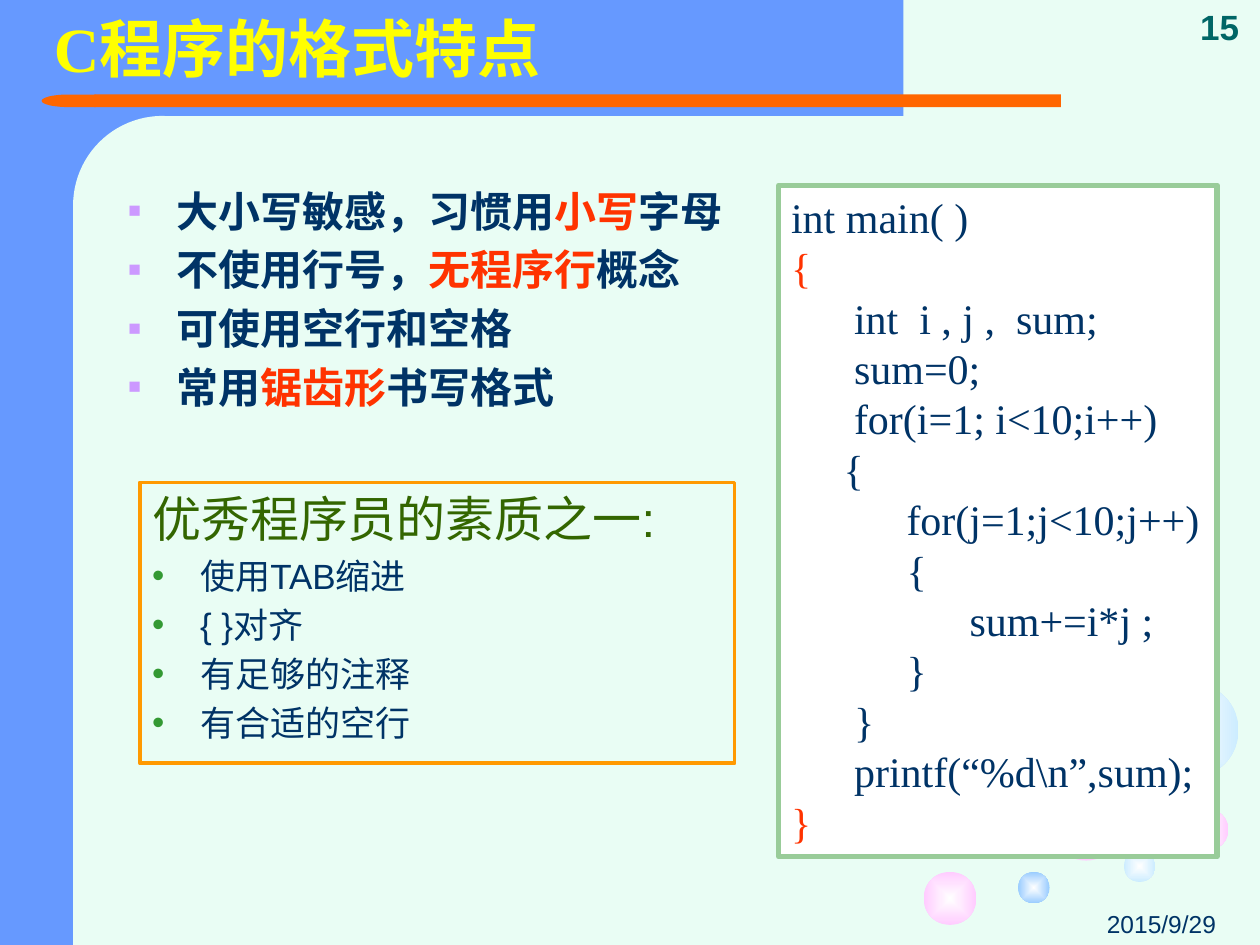
from lxml import etree
from pptx import Presentation
from pptx import util as u
from pptx.dml import color as dml
from pptx.enum import shapes, text
from pptx.oxml import ns

HUES = {
    "mint": "E9FDF4", "blue": "6699FF", "orange": "FF6600", "white": "FFFFFF",
    "pink": "FFCCFF", "pale": "CCECFF", "sky": "99CCFF", "navy": "003366",
    "teal": "006666", "yellow": "FFFF00", "red": "FF3300", "lilac": "CC99FF",
    "sage": "99CC99", "amber": "FF9900", "olive": "336600", "green": "339933",
}
KIND = shapes.MSO_SHAPE
SIDE = text.PP_ALIGN
EDGE = text.MSO_ANCHOR
SPACE = 0.0833  # width of one blank in the 24 pt code font

POINTS = [
    [("大小写敏感，习惯用", "navy"), ("小写", "red"), ("字母", "navy")],
    [("不使用行号，", "navy"), ("无程序行", "red"), ("概念", "navy")],
    [("可使用空行和空格", "navy")],
    [("常用", "navy"), ("锯齿形", "red"), ("书写格式", "navy")],
]
HABITS = ["使用TAB缩进", "{ }对齐", "有足够的注释", "有合适的空行"]
# Indent in blanks, code
CODE = [
    (0, "int main( )"), (0, "{"), (6, "int  i , j ,  sum;"), (6, "sum=0;"),
    (6, "for(i=1; i<10;i++)"), (5, "{"), (11, "for(j=1;j<10;j++)"), (11, "{"),
    (17, "sum+=i*j ;"), (11, "}"), (6, "}"), (6, "printf(“%d\\n”,sum);"), (0, "}"),
]


def rgb(hue):
    return dml.RGBColor.from_string(HUES[hue])


def put(obj, **vals):
    for key, val in vals.items():
        setattr(obj, key, val)


def add(xml, tag, **vals):
    return etree.SubElement(xml, ns.qn(tag), {k: str(v) for k, v in vals.items()})


def draw(slide, box, kind=KIND.RECTANGLE, fill=None, line=None, wide=1):
    form = slide.shapes.add_shape(kind, *map(u.Inches, box))
    form.shadow.inherit = False
    if fill:
        form.fill.solid()
        form.fill.fore_color.rgb = rgb(fill)
    else:
        form.fill.background()
    if line:
        form.line.color.rgb = rgb(line)
        form.line.width = u.Pt(wide)
    else:
        form.line.fill.background()
    return form


def label(slide, box, **vals):
    frame = slide.shapes.add_textbox(*map(u.Inches, box)).text_frame
    put(frame, word_wrap=True, **vals)
    return frame


def write(frame, runs, size, font, bold=False, **vals):
    """Add a paragraph of (words, hue) runs, using the empty first one."""
    para = frame.paragraphs[0]
    if para.runs:
        para = frame.add_paragraph()
    put(para, **{"alignment": SIDE.LEFT, **vals})
    for words, hue in runs:
        run = para.add_run()
        run.text = words
        put(run.font, size=u.Pt(size), name=font, bold=bold)
        run.font.color.rgb = rgb(hue)
    return para


def indent(para, left, hang=0.0):
    props = para._p.get_or_add_pPr()
    props.set("marL", str(u.Inches(left)))
    props.set("indent", str(-u.Inches(hang)))
    return props


def item(para, left, mark=None, hue=None, size=100):
    props = indent(para, left, 0.38)
    add(add(props, "a:spcBef"), "a:spcPct", val=20000)
    if mark:
        add(add(props, "a:buClr"), "a:srgbClr", val=HUES[hue])
        add(props, "a:buSzPct", val=size * 1000)
        add(props, "a:buFont", typeface="Arial")
        add(props, "a:buChar", char=mark)


def frame_art(slide, box):
    x, y, w, h = box
    draw(slide, (x, y, 1.25, h), fill="blue")
    draw(slide, (x + 0.5, y, 6.67, 0.92), fill="blue")
    curve = draw(slide, (x + 0.58, y + 0.92, 1.42, 5.75), KIND.ROUNDED_RECTANGLE, "mint")
    curve.adjustments[0] = 0.5
    # Orange rule with its rounded tip
    draw(slide, (x + 0.75, y + 0.75, 7.67, 0.1), fill="orange")
    tip = draw(slide, (x + 0.33, y + 0.75, 0.43, 0.1), KIND.FLOWCHART_DELAY, "orange")
    tip.rotation = 180
    draw(slide, (x + 0.58, y + 5.92, 1.42, h - 5.92), fill="mint")


def bubbles(slide, box):
    x, y = box[:2]
    for dx, dy, size, hue in [
        (1, 0.83, 0.58, "pink"), (0, 1.5, 0.42, "pink"), (1.59, 1.33, 0.25, "pale"),
        (2.09, 1, 0.33, "pink"), (1.75, 0, 0.75, "pale"), (0.75, 1.5, 0.25, "sky"),
    ]:
        ball = draw(slide, (x + dx, y + dy, size, size), KIND.OVAL)
        ball.fill.gradient()
        for stop, tint in zip(ball.fill.gradient_stops, ("white", hue)):
            stop.color.rgb = rgb(tint)
        # Shade from the centre outwards
        grad = ball._element.spPr.find(ns.qn("a:gradFill"))
        grad.remove(grad.find(ns.qn("a:lin")))
        way = add(grad, "a:path", path="shape")
        add(way, "a:fillToRect", l=50000, t=50000, r=50000, b=50000)


def heading(slide, box):
    frame = label(slide, box, vertical_anchor=EDGE.MIDDLE)
    write(frame, [("C程序的格式特点", "yellow")], 36, "Times New Roman", True,
          line_spacing=0.9)


def marks(slide, box):
    x, y, w, h = box
    date = label(slide, (x + w - 2.33, y + h - 0.33, 2.08, 0.33), vertical_anchor=EDGE.BOTTOM)
    write(date, [("2015/9/29", "navy")], 14, "Arial", alignment=SIDE.RIGHT)
    page = label(slide, (x + w - 0.64, y, 0.64, 0.43), vertical_anchor=EDGE.BOTTOM)
    write(page, [("15", "teal")], 20, "Arial", True, alignment=SIDE.CENTER)


def points(slide, box):
    frame = label(slide, box)
    for runs in POINTS:
        item(write(frame, runs, 24, "Cabin", True), 1.38, "■", "lilac", 50)


def listing(slide, box):
    frame = draw(slide, box, fill="white", line="sage", wide=3).text_frame
    put(frame, word_wrap=False, vertical_anchor=EDGE.TOP)
    for gap, code in CODE:
        hue = "red" if not gap and code in "{}" else "navy"
        indent(write(frame, [(code, hue)], 24, "Times New Roman"), gap * SPACE)


def habits(slide, box):
    frame = draw(slide, box, line="amber", wide=2.25).text_frame
    put(frame, word_wrap=True, vertical_anchor=EDGE.TOP)
    item(write(frame, [("优秀程序员的素质之一:", "olive")], 28, "Arial"), 0.38)
    for words in HABITS:
        item(write(frame, [(words, "navy")], 20, "Arial"), 0.38, "•", "green")


def main():
    deck = Presentation()
    put(deck, slide_width=u.Inches(10), slide_height=u.Inches(7.5))
    slide = deck.slides.add_slide(deck.slide_layouts[6])
    slide.background.fill.solid()
    slide.background.fill.fore_color.rgb = rgb("mint")
    page = (0, 0, 10, 7.5)
    frame_art(slide, page)
    bubbles(slide, (7.33, 5.42, 2.5, 1.92))
    marks(slide, page)
    heading(slide, (0.33, 0, 8.42, 0.83))
    points(slide, (-0.08, 1.42, 9.08, 2.42))
    listing(slide, (6.18, 1.47, 3.48, 5.33))
    habits(slide, (1.11, 3.83, 4.72, 2.23))
    deck.save("out.pptx")


if __name__ == "__main__":
    main()
